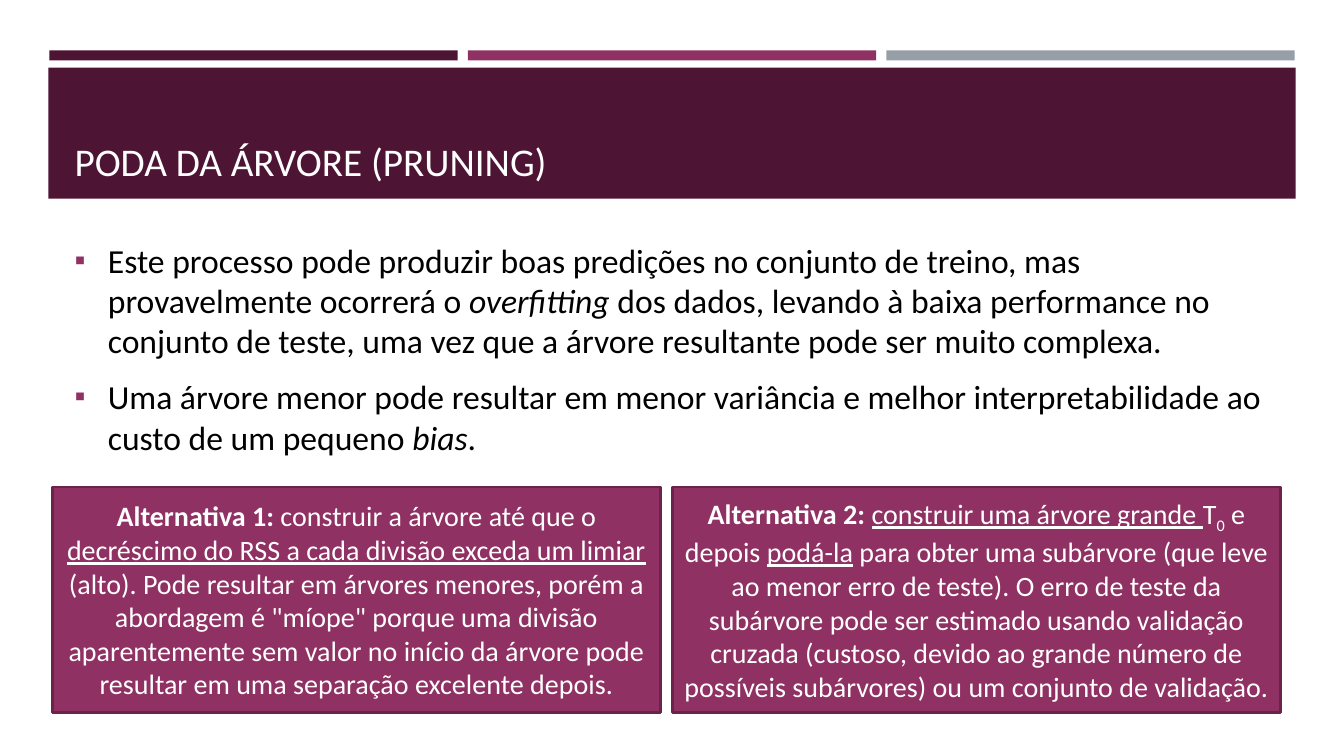
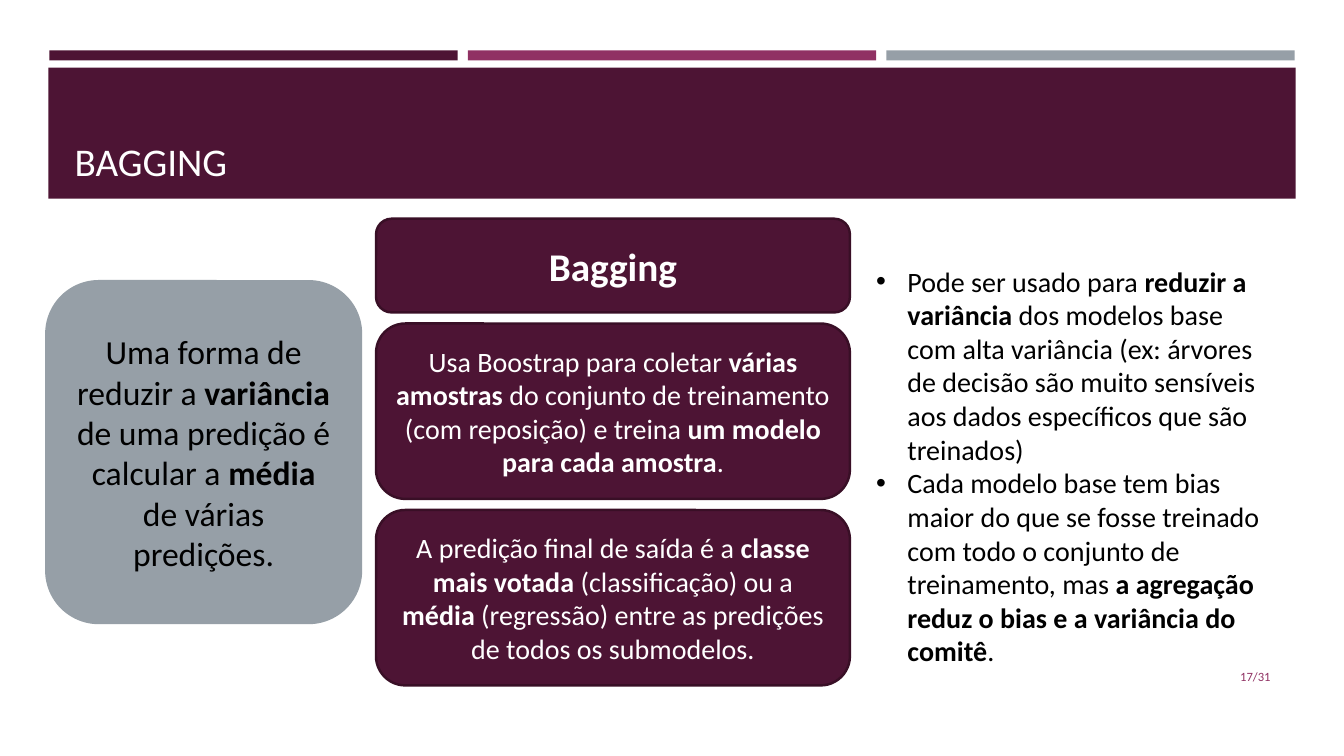
from lxml import etree
from pptx import Presentation
from pptx.dml.color import RGBColor
from pptx.enum.shapes import MSO_SHAPE
from pptx.enum.text import MSO_ANCHOR, MSO_AUTO_SIZE, PP_ALIGN
from pptx.oxml.ns import qn
from pptx.util import Pt

RECT, ROUNDED = MSO_SHAPE.RECTANGLE, MSO_SHAPE.ROUNDED_RECTANGLE
TOP, MIDDLE, BOTTOM = MSO_ANCHOR.TOP, MSO_ANCHOR.MIDDLE, MSO_ANCHOR.BOTTOM
LEFT, CENTER, RIGHT = PP_ALIGN.LEFT, PP_ALIGN.CENTER, PP_ALIGN.RIGHT
NO_AUTOFIT = MSO_AUTO_SIZE.NONE

PX = 9144  # 100 px to the inch
FONT = "Calibri"
COLORS = {
    "wine": "4D1434",
    "wine_edge": "390F26",
    "plum": "903163",
    "plum_edge": "6B2449",
    "gray": "969FA7",
    "white": "FFFFFF",
    "black": "000000",
}


def write(paragraph, runs, size, color, align=CENTER):
    """Fill a paragraph with (text, style) runs; style is a font attribute, "sub" or ""."""
    paragraph.alignment = align
    paragraph.font.name = FONT
    paragraph.font.size = Pt(size)
    paragraph.font.color.rgb = RGBColor.from_string(COLORS[color])
    for text, style in runs:
        run = paragraph.add_run()
        run.text = text
        if style == "sub":
            run.font._element.set("baseline", "-25000")
        elif style:
            setattr(run.font, style, True)


def add_box(slide, kind, box, fill, edge=None):
    shape = slide.shapes.add_shape(kind, *(n * PX for n in box))
    shape.shadow.inherit = False
    shape.fill.solid()
    shape.fill.fore_color.rgb = RGBColor.from_string(COLORS[fill])
    if edge:
        shape.line.color.rgb = RGBColor.from_string(COLORS[edge])
        shape.line.width = Pt(1.75)
    else:
        shape.line.fill.background()
    shape.text_frame.word_wrap = True
    shape.text_frame.vertical_anchor = MIDDLE
    return shape


prs = Presentation()
prs.slide_width, prs.slide_height = 1333 * PX, 750 * PX
master = prs.slide_master
title_and_content = prs.slide_layouts[1]
pruning = prs.slides.add_slide(title_and_content)
bagging = prs.slides.add_slide(title_and_content)

# Shared bands, moved to the back of the slide master
bands = [((49 + 415 * i, 50, 405, 10), color)
         for i, color in enumerate(("wine", "plum", "gray"))]
bands.append(((48, 67, 1237, 130), "wine"))
for i, (box, color) in enumerate(bands):
    band = add_box(pruning, RECT, box, color).element
    band.nvSpPr.cNvPr.set("id", str(101 + i))
    master.element.cSld.spTree.insert(2 + i, band)

# Titles
for slide, heading in ((pruning, "PODA DA ÁRVORE (PRUNING)"), (bagging, "BAGGING")):
    title = slide.shapes.title
    title.left, title.top, title.width, title.height = (
        n * PX for n in (64, 77, 1206, 111))
    title.text_frame.vertical_anchor = BOTTOM
    title.text_frame.auto_size = NO_AUTOFIT
    write(title.text_frame.paragraphs[0], [(heading, "")], 28, "white", LEFT)

# Bulleted lists
pruning_points = [
    [("Este processo pode produzir boas predições no conjunto de treino, mas "
      "provavelmente ocorrerá o ", ""),
     ("overfitting", "italic"),
     (" dos dados, levando à baixa performance no conjunto de teste, uma vez que "
      "a árvore resultante pode ser muito complexa.", "")],
    [("Uma árvore menor pode resultar em menor variância e melhor "
      "interpretabilidade ao custo de um pequeno ", ""),
     ("bias", "italic"), (".", "")],
]
bagging_points = [
    [("Pode ser usado para ", ""), ("reduzir a variância", "bold"),
     (" dos modelos base com alta variância (ex: árvores de decisão são muito "
      "sensíveis aos dados específicos que são treinados)", "")],
    [("Cada modelo base tem bias maior do que se fosse treinado com todo o "
      "conjunto de treinamento, mas ", ""),
     ("a agregação reduz o bias e a variância do comitê", "bold"), (".", "")],
]
lists = [
    (pruning, (64, 238, 1206, 215), MIDDLE, "▪", "plum", 92, 33, 24, 5, 6, pruning_points),
    (bagging, (859, 257, 411, 414), TOP, "•", "black", 100, 31, 20, 0, 0, bagging_points),
]
for (slide, box, anchor, bullet, bullet_color, bullet_size, indent,
     size, before, after, points) in lists:
    body = slide.placeholders[1]
    body.left, body.top, body.width, body.height = (n * PX for n in box)
    frame = body.text_frame
    frame.vertical_anchor = anchor
    frame.auto_size = NO_AUTOFIT
    for i, runs in enumerate(points):
        paragraph = frame.add_paragraph() if i else frame.paragraphs[0]
        props = paragraph._p.get_or_add_pPr()
        props.set("marL", str(indent * PX))
        props.set("indent", str(-indent * PX))
        bullet_fill = etree.SubElement(props, qn("a:buClr"))
        etree.SubElement(bullet_fill, qn("a:srgbClr"), val=COLORS[bullet_color])
        etree.SubElement(props, qn("a:buSzPct"), val=str(bullet_size * 1000))
        etree.SubElement(props, qn("a:buFont"), typeface="Arial")
        etree.SubElement(props, qn("a:buChar"), char=bullet)
        paragraph.space_before = Pt(before if i else 0)
        paragraph.space_after = Pt(after)
        write(paragraph, runs, size, "black", LEFT)

# Pruning: two alternatives side by side
alternatives = [
    [("Alternativa 1:", "bold"), (" construir a árvore até que o ", ""),
     ("decréscimo do RSS a cada divisão exceda um limiar ", "underline"),
     ("(alto). Pode resultar em árvores menores, porém a abordagem é \"míope\" "
      "porque uma divisão aparentemente sem valor no início da árvore pode "
      "resultar em uma separação excelente depois.", "")],
    [("Alternativa 2: ", "bold"), ("construir uma árvore grande ", "underline"),
     ("T", ""), ("0", "sub"), (" e depois ", ""), ("podá-la", "underline"),
     (" para obter uma subárvore (que leve ao menor erro de teste). O erro de "
      "teste da subárvore pode ser estimado usando validação cruzada (custoso, "
      "devido ao grande número de possíveis subárvores) ou um conjunto de "
      "validação.", "")],
]
for i, runs in enumerate(alternatives):
    card = add_box(pruning, RECT, (52 + 615 * i, 483, 603, 224), "plum", "plum_edge")
    write(card.text_frame.paragraphs[0], runs, 20, "white")

# Bagging: the idea on the left, the steps in the middle
idea = add_box(bagging, ROUNDED, (46, 279, 312, 339), "gray", "gray")
write(idea.text_frame.paragraphs[0],
      [("Uma forma de reduzir a ", ""), ("variância", "bold"),
       (" de uma predição é calcular a ", ""), ("média", "bold"),
       (" de várias predições.", "")], 24, "black")

steps = [
    (93, 28, [("Bagging", "bold")]),
    (174, 20, [("Usa Boostrap para coletar ", ""), ("várias amostras ", "bold"),
               ("do conjunto de treinamento (com reposição) e treina ", ""),
               ("um modelo para cada amostra", "bold"), (".", "")]),
    (174, 20, [("A predição final de saída é a ", ""), ("classe mais votada ", "bold"),
               ("(classificação) ou a ", ""), ("média", "bold"),
               (" (regressão) entre as predições de todos os submodelos.", "")]),
]
step_top = 217
for height, size, runs in steps:
    step = add_box(bagging, ROUNDED, (373, step_top, 470, height), "wine", "wine_edge")
    write(step.text_frame.paragraphs[0], runs, size, "white")
    step_top += height + 11

page_number = bagging.shapes.add_textbox(*(n * PX for n in (1155, 651, 115, 40)))
page_number.text_frame.word_wrap = True
page_number.text_frame.vertical_anchor = MIDDLE
write(page_number.text_frame.paragraphs[0], [("17/31", "")], 9, "plum", RIGHT)

prs.save("out.pptx")
